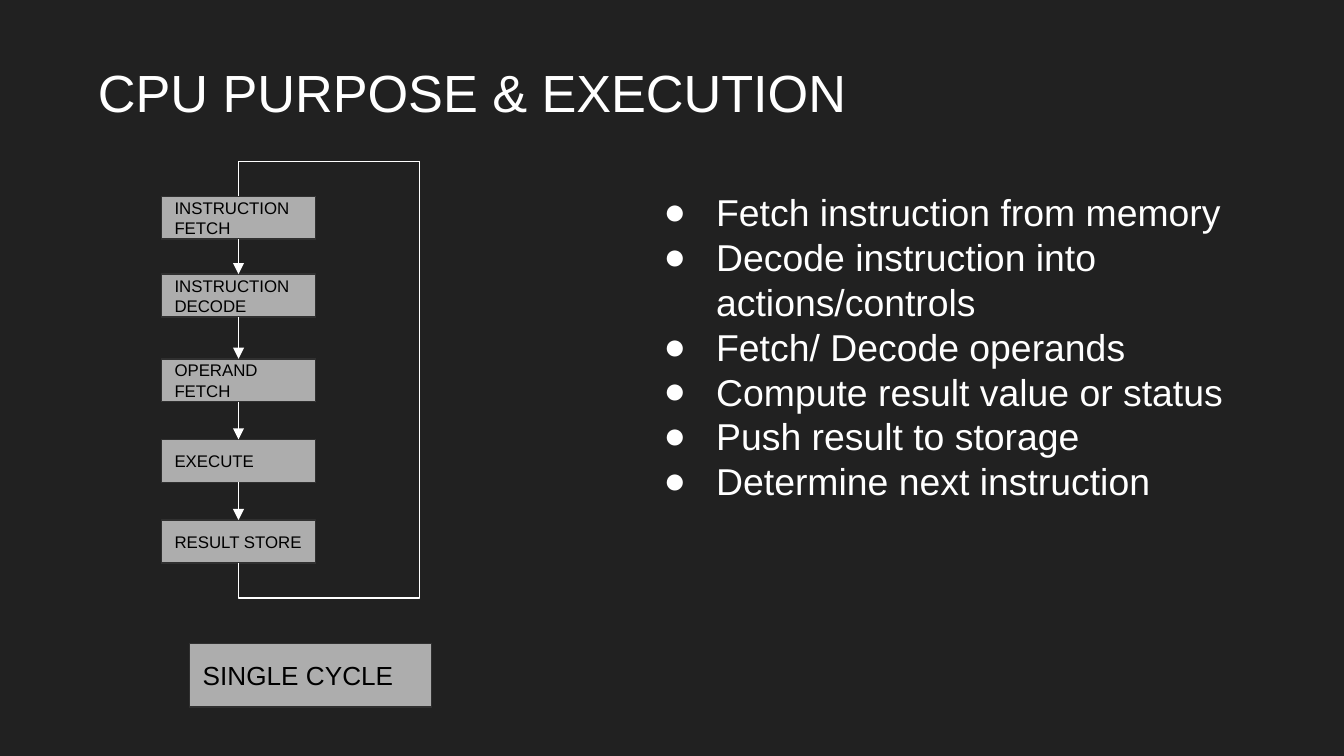
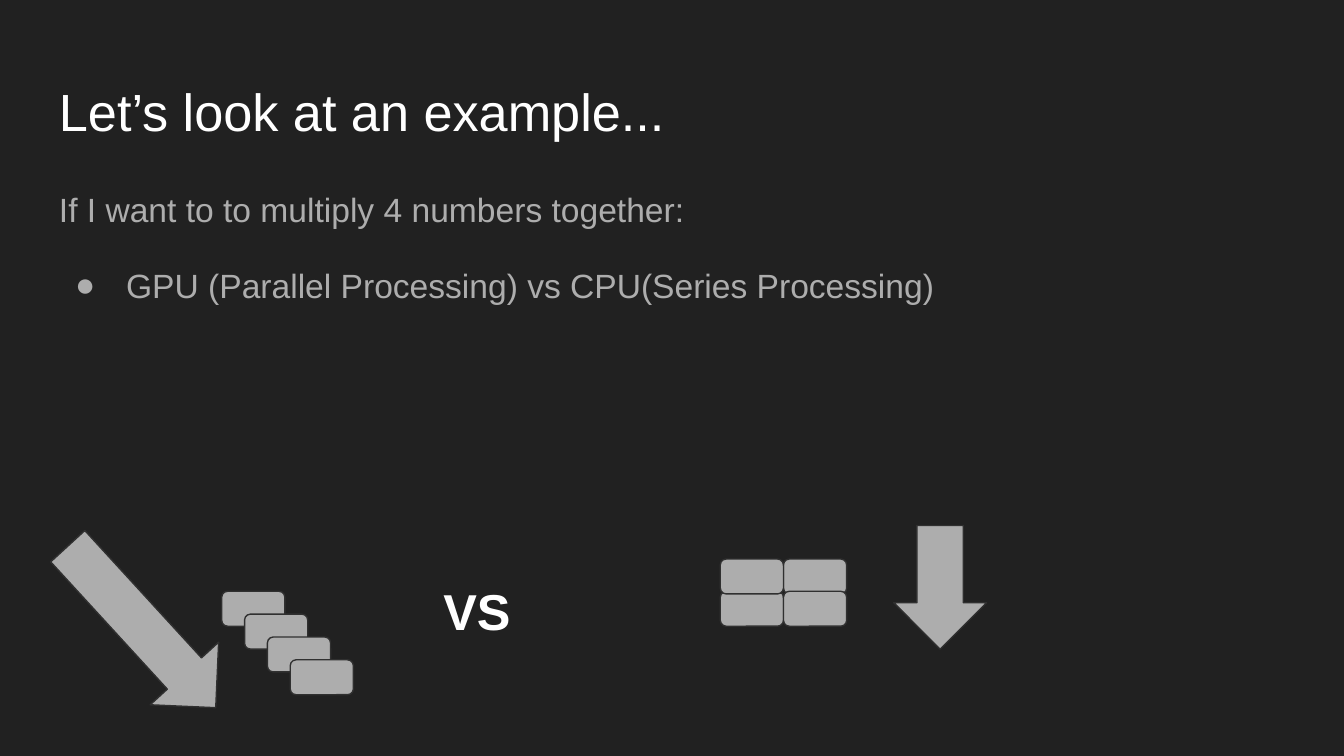
"""Build two dark slides on how a CPU runs and how a GPU compares."""
from dataclasses import dataclass
from itertools import pairwise

from lxml import etree
from pptx import Presentation
from pptx.dml.color import RGBColor
from pptx.enum.shapes import MSO_CONNECTOR, MSO_SHAPE
from pptx.enum.text import MSO_ANCHOR, PP_ALIGN
from pptx.oxml.ns import qn
from pptx.shapes.autoshape import Shape
from pptx.shapes.connector import Connector
from pptx.slide import Slide
from pptx.text.text import TextFrame
from pptx.util import Inches, Pt

RECT = MSO_SHAPE.RECTANGLE
ROUND = MSO_SHAPE.ROUNDED_RECTANGLE
ARROW = MSO_SHAPE.DOWN_ARROW
STRAIGHT = MSO_CONNECTOR.STRAIGHT
ELBOW = MSO_CONNECTOR.ELBOW
MIDDLE = MSO_ANCHOR.MIDDLE
TOP = MSO_ANCHOR.TOP
LEFT = PP_ALIGN.LEFT


@dataclass(frozen=True)
class Theme:
    font: str = "Arial"
    back: str = "212121"
    white: str = "FFFFFF"
    gray: str = "ADADAD"
    edge: str = "303030"
    black: str = "000000"
    title: float = 28
    versus: float = 27
    list: float = 20
    body: float = 18
    label: float = 14
    step: float = 9
    line: float = 0.75
    inset: float = 0.1


@dataclass(frozen=True)
class Box:
    left: float
    top: float
    width: float
    height: float


@dataclass(frozen=True)
class Style:
    size: float
    color: str
    bold: bool = False


@dataclass(frozen=True)
class Para:
    text: str
    hang: float = 0
    before: float = 0
    lead: float = 1


@dataclass(frozen=True)
class Step:
    text: str
    top: float


THEME = Theme()
TITLE = Style(THEME.title, THEME.white)
WIDTH = 10
HEIGHT = WIDTH * 9 / 16
STEPS = (
    Step("INSTRUCTION FETCH", 1.46),
    Step("INSTRUCTION DECODE", 2.04),
    Step("OPERAND FETCH", 2.67),
    Step("EXECUTE", 3.27),
    Step("RESULT STORE", 3.87),
)
TASKS = (
    "Fetch instruction from memory",
    "Decode instruction into actions/controls",
    "Fetch/ Decode operands",
    "Compute result value or status",
    "Push result to storage",
    "Determine next instruction",
)
STEP_LEFT, STEP_WIDTH, STEP_HEIGHT = 1.2, 1.15, 0.32
LOOP_TOP, LOOP_RIGHT, LOOP_GAP = 1.2, 3.12, 0.26
CELL_WIDTH, CELL_HEIGHT = 0.47, 0.26
STAIR_LEFT, STAIR_TOP, STAIR_STEP = 1.65, 4.4, 0.17
GRID_LEFT, GRID_TOP, GRID_ROW = 5.36, 4.16, 0.24
GRID_CELLS = ((0, 1), (1, 0), (1, 1), (0, 0))


def place(box: Box) -> tuple[Inches, Inches, Inches, Inches]:
    """Turn a box into lengths."""
    return (Inches(box.left), Inches(box.top),
            Inches(box.width), Inches(box.height))


def write(frame: TextFrame, paras: list[Para], style: Style,
          anchor: MSO_ANCHOR = TOP) -> None:
    """Fill a text frame with styled paragraphs."""
    frame.word_wrap = True
    frame.vertical_anchor = anchor
    frame.margin_left = frame.margin_right = Inches(THEME.inset)
    frame.margin_top = frame.margin_bottom = Inches(THEME.inset)
    for index, para in enumerate(paras):
        line = frame.add_paragraph() if index else frame.paragraphs[0]
        line.alignment = LEFT
        line.line_spacing = para.lead
        if para.before:
            line.space_before = Pt(para.before)
        if para.hang:
            mark(line._p.get_or_add_pPr(), para.hang, style.color)
        run = line.add_run()
        run.text = para.text
        run.font.name = THEME.font
        run.font.size = Pt(style.size)
        run.font.bold = style.bold
        run.font.color.rgb = RGBColor.from_string(style.color)


def mark(props: etree._Element, hang: float, color: str) -> None:
    """Give a paragraph a hanging round bullet."""
    props.set("marL", str(Inches(0.5)))
    props.set("indent", str(-Inches(hang)))
    tint = etree.SubElement(props, qn("a:buClr"))
    etree.SubElement(tint, qn("a:srgbClr"), val=color)
    etree.SubElement(props, qn("a:buFont"), typeface=THEME.font)
    etree.SubElement(props, qn("a:buChar"), char="●")


def add_text(slide: Slide, box: Box, paras: list[Para], style: Style) -> None:
    """Add a text box."""
    write(slide.shapes.add_textbox(*place(box)).text_frame, paras, style)


def add_block(slide: Slide, kind: MSO_SHAPE, box: Box, text: str = "",
              size: float = THEME.step) -> Shape:
    """Add a gray shape with an optional label."""
    shape = slide.shapes.add_shape(kind, *place(box))
    shape.shadow.inherit = False
    shape.fill.solid()
    shape.fill.fore_color.rgb = RGBColor.from_string(THEME.gray)
    shape.line.color.rgb = RGBColor.from_string(THEME.edge)
    shape.line.width = Pt(THEME.line)
    if text:
        write(shape.text_frame, [Para(text)], Style(size, THEME.black), MIDDLE)
    return shape


def add_line(slide: Slide, kind: MSO_CONNECTOR, start: tuple[float, float],
             end: tuple[float, float]) -> Connector:
    """Add a thin white connector."""
    link = slide.shapes.add_connector(
        kind, *(Inches(value) for value in start + end))
    link.line.color.rgb = RGBColor.from_string(THEME.white)
    link.line.width = Pt(THEME.line)
    etree.SubElement(link.element.spPr, qn("a:effectLst"))
    return link


def add_arrow(slide: Slide, upper: Shape, lower: Shape) -> None:
    """Join two stacked boxes with an arrow."""
    link = add_line(slide, STRAIGHT, (0, 0), (0, 0))
    link.begin_connect(upper, 2)
    link.end_connect(lower, 0)
    line = link.element.spPr.find(qn("a:ln"))
    etree.SubElement(line, qn("a:tailEnd"), type="triangle")


def add_loop(slide: Slide) -> None:
    """Lead the last step back to the first."""
    mid = STEP_LEFT + STEP_WIDTH / 2
    foot = STEPS[-1].top + STEP_HEIGHT
    rise, run = foot - LOOP_TOP, LOOP_RIGHT - mid
    left = (mid + LOOP_RIGHT - rise) / 2
    top = (foot + LOOP_TOP - run) / 2
    climb = add_line(slide, ELBOW, (left, top), (left + rise, top + run))
    props = climb.element.spPr
    props.find(qn("a:xfrm")).set("rot", str(270 * 60000))
    guides = props.find(qn("a:prstGeom")).find(qn("a:avLst"))
    bend = round(-LOOP_GAP / rise * 100000)
    etree.SubElement(guides, qn("a:gd"), name="adj1", fmla=f"val {bend}")
    back = add_line(slide, ELBOW, (LOOP_RIGHT, LOOP_TOP), (mid, STEPS[0].top))
    back.element.spPr.find(qn("a:prstGeom")).set("prst", "bentConnector2")


def add_slide(deck: Presentation, title: str, box: Box) -> Slide:
    """Add a dark slide with a title."""
    slide = deck.slides.add_slide(deck.slide_layouts[6])
    fill = slide.background.fill
    fill.solid()
    fill.fore_color.rgb = RGBColor.from_string(THEME.back)
    add_text(slide, box, [Para(title)], TITLE)
    return slide


def draw_cycle(deck: Presentation) -> None:
    """Draw the slide on the CPU cycle."""
    slide = add_slide(deck, "CPU PURPOSE & EXECUTION",
                      Box(0.63, 0.35, 6.68, 0.63))
    blocks = [add_block(slide, RECT, Box(STEP_LEFT, step.top, STEP_WIDTH,
                                         STEP_HEIGHT), step.text)
              for step in STEPS]
    for upper, lower in pairwise(blocks):
        add_arrow(slide, upper, lower)
    add_loop(slide)
    add_block(slide, RECT, Box(1.41, 4.79, 1.8, 0.47), "SINGLE CYCLE",
              THEME.label)
    add_text(slide, Box(4.73, 1.31, 4.81, 3.66),
             [Para(task, hang=0.39) for task in TASKS],
             Style(THEME.list, THEME.white))


def draw_match(deck: Presentation) -> None:
    """Draw the slide that sets parallel against series work."""
    slide = add_slide(deck, "Let’s look at an example...",
                      Box(0.34, 0.49, 9.32, 0.63))
    add_text(slide, Box(0.34, 1.26, 9.32, 2.57), [
        Para("If I want to to multiply 4 numbers together:", lead=1.15),
        Para("GPU (Parallel Processing) vs CPU(Series Processing)",
             hang=0.38, before=16, lead=1.15),
    ], Style(THEME.body, THEME.gray))
    stairs = [(STAIR_LEFT + i * STAIR_STEP, STAIR_TOP + i * STAIR_STEP)
              for i in range(4)]
    grid = [(GRID_LEFT + col * CELL_WIDTH, GRID_TOP + row * GRID_ROW)
            for col, row in GRID_CELLS]
    for left, top in stairs + grid:
        add_block(slide, ROUND, Box(left, top, CELL_WIDTH, CELL_HEIGHT))
    add_text(slide, Box(3.2, 4.22, 1.08, 0.63), [Para("VS")],
             Style(THEME.versus, THEME.white, True))
    add_block(slide, ARROW, Box(6.65, 3.91, 0.69, 0.92))
    slant = add_block(slide, ARROW, Box(0.71, 3.85, 0.69, 1.63))
    slant.rotation = 317.5


def main() -> None:
    """Build and save the deck."""
    deck = Presentation()
    deck.slide_width = Inches(WIDTH)
    deck.slide_height = Inches(HEIGHT)
    draw_cycle(deck)
    draw_match(deck)
    deck.save("out.pptx")


if __name__ == "__main__":
    main()
